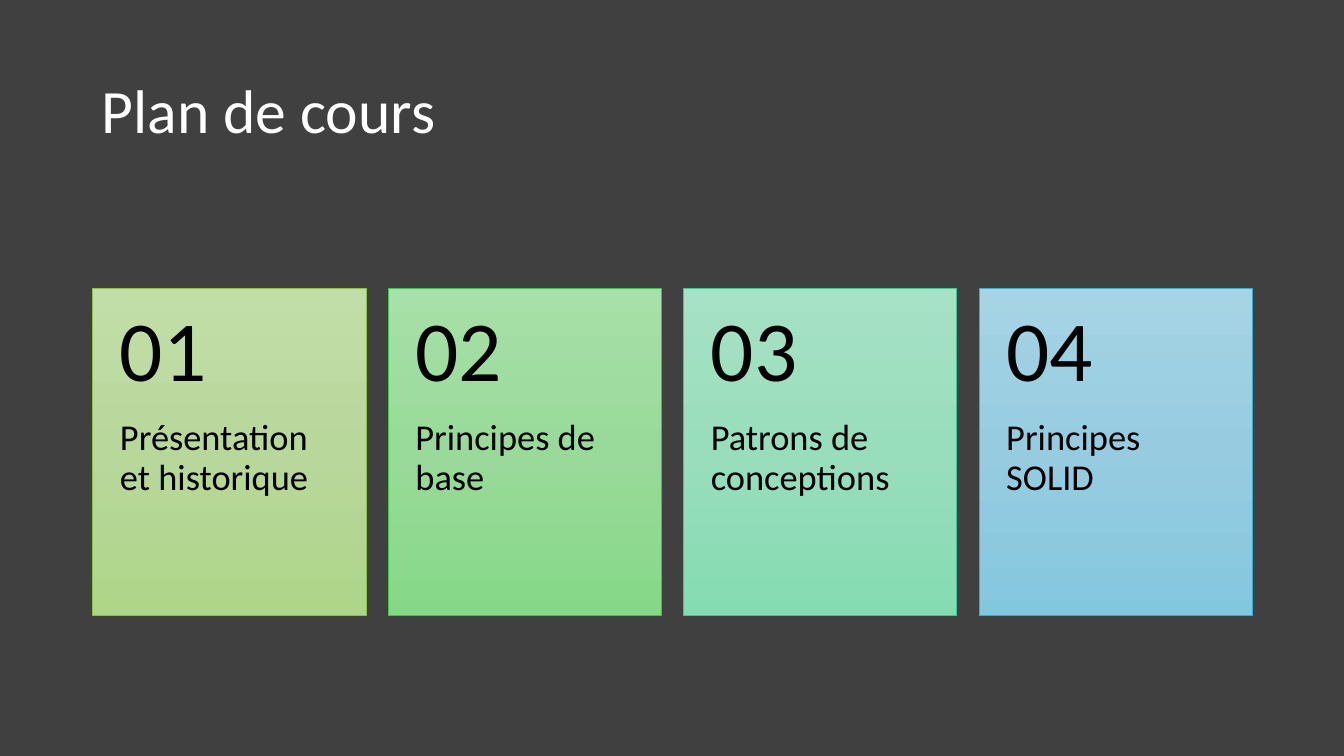
from copy import deepcopy
from dataclasses import dataclass

from pptx import Presentation
from pptx.dml.color import RGBColor
from pptx.enum.shapes import MSO_SHAPE
from pptx.enum.text import MSO_ANCHOR, PP_ALIGN
from pptx.oxml.ns import qn
from pptx.util import Inches, Pt


@dataclass(frozen=True)
class Theme:
    font: str = "Calibri"
    background: str = "404040"
    title_color: str = "FFFFFF"
    card_text: str = "000000"
    title_size: int = 44
    number_size: int = 61
    label_size: int = 26
    # Each card: gradient top, middle, bottom, then outline
    cards: tuple = (
        ("C2DEA8", "B8D79B", "AED588", "8BC145"),
        ("A7E0A8", "99DA9A", "86D888", "40C543"),
        ("A6E2C5", "98DDBC", "85DCB3", "3BCA93"),
        ("A5D4E5", "97CCE0", "83C7DF", "36AFCE"),
    )


class SlideBuilder:
    def __init__(self, prs, theme):
        self.theme = theme
        self.slide = prs.slides.add_slide(prs.slide_layouts[6])
        fill = self.slide.background.fill
        fill.solid()
        fill.fore_color.rgb = RGBColor.from_string(theme.background)

    def text(self, text, box, size, color, insets, anchor=MSO_ANCHOR.TOP):
        sp = self.slide.shapes.add_textbox(*map(Inches, box))
        tf = sp.text_frame
        tf.word_wrap = True
        tf.vertical_anchor = anchor
        tf.margin_left, tf.margin_top, tf.margin_right, tf.margin_bottom = map(Inches, insets)
        tf.text = text
        p = tf.paragraphs[0]
        p.alignment = PP_ALIGN.LEFT
        p.line_spacing = 0.9
        font = p.runs[0].font
        font.name = self.theme.font
        font.size = Pt(size)
        font.color.rgb = RGBColor.from_string(color)

    def panel(self, box, colors):
        *gradient, outline = colors
        sp = self.slide.shapes.add_shape(MSO_SHAPE.RECTANGLE, *map(Inches, box))
        sp.shadow.inherit = False
        sp.line.color.rgb = RGBColor.from_string(outline)
        sp.line.width = Pt(0.5)
        sp.fill.gradient()
        sp.fill.gradient_angle = 270
        # A third stop in the middle of the gradient
        first = sp._element.spPr.find(qn("a:gradFill")).find(qn("a:gsLst"))[0]
        middle = deepcopy(first)
        middle.set("pos", "50000")
        first.addnext(middle)
        for stop, color in zip(sp.fill.gradient_stops, gradient):
            stop.color.rgb = RGBColor.from_string(color)

    def card(self, left, top, width, height, number, label, colors):
        theme = self.theme
        head = height * 0.4
        self.panel((left, top, width, height), colors)
        self.text(label, (left, top + head, width, height - head), theme.label_size,
                  theme.card_text, (0.27, 0, 0.27, 0.36))
        self.text(number, (left, top, width, head), theme.number_size,
                  theme.card_text, (0.27, 0.18, 0.27, 0.18), MSO_ANCHOR.MIDDLE)


def main():
    prs = Presentation()
    prs.slide_width, prs.slide_height = Inches(13.33), Inches(7.5)
    theme = Theme()
    s = SlideBuilder(prs, theme)

    # Title
    s.text("Plan de cours", (0.91, 0.4, 11.51, 1.45), theme.title_size,
           theme.title_color, (0.1, 0.05, 0.1, 0.05), MSO_ANCHOR.MIDDLE)

    # Course parts, one card each
    labels = ("Présentation et historique", "Principes de base",
              "Patrons de conceptions", "Principes SOLID")
    left, pitch = 0.92, 2.93
    for i, (label, colors) in enumerate(zip(labels, theme.cards)):
        s.card(left + i * pitch, 2.86, 2.71, 3.25, f"{i + 1:02d}", label, colors)

    prs.save("out.pptx")


if __name__ == "__main__":
    main()
